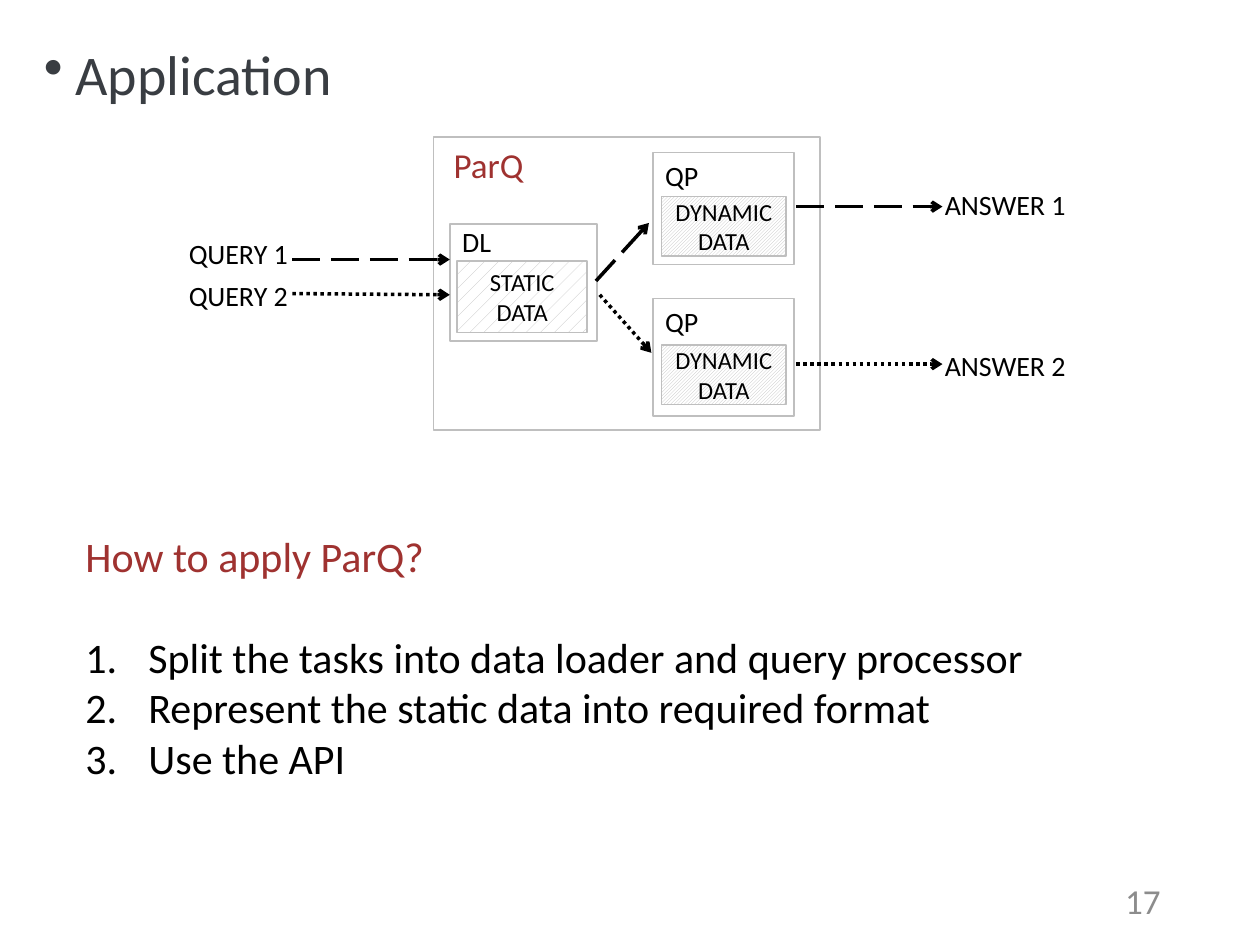
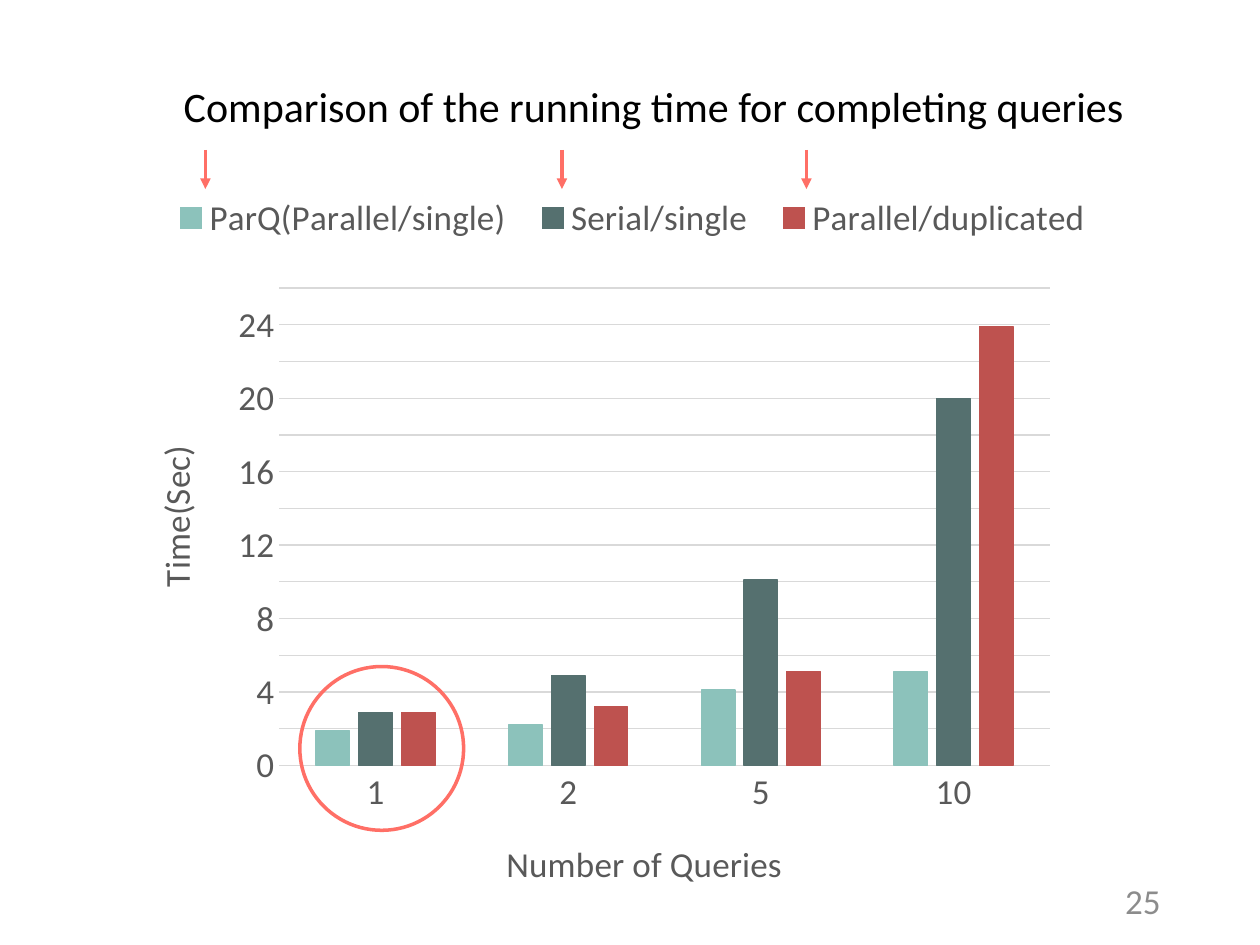
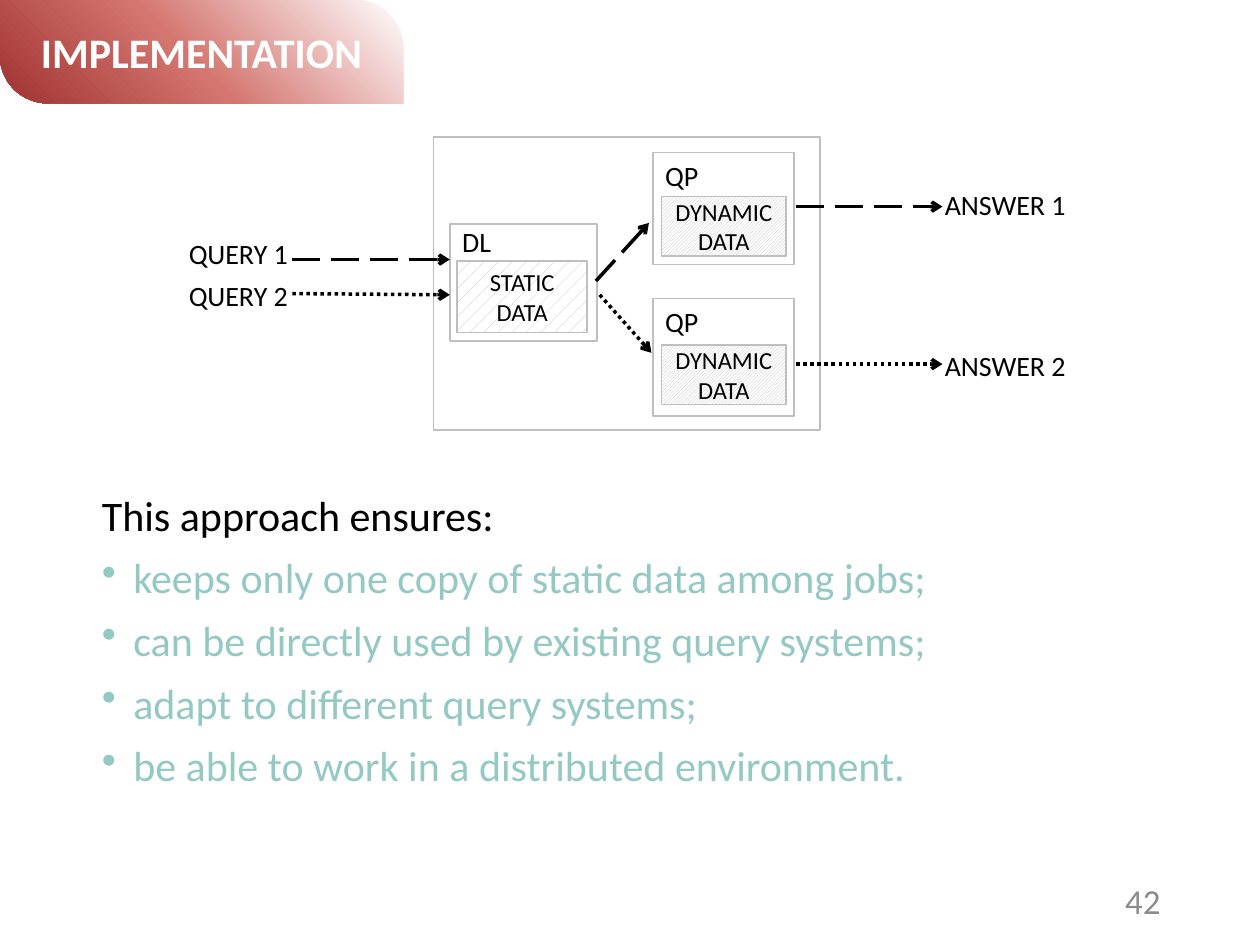
from lxml import etree
from pptx import Presentation
from pptx.chart.data import CategoryChartData
from pptx.dml.color import RGBColor
from pptx.enum.chart import XL_CHART_TYPE as ChartType, XL_LEGEND_POSITION as LegendPosition, XL_TICK_MARK as TickMark
from pptx.enum.dml import MSO_LINE as Dash, MSO_PATTERN as Pattern
from pptx.enum.shapes import MSO_CONNECTOR as Connector, MSO_SHAPE as Shape
from pptx.enum.text import MSO_ANCHOR as Anchor, PP_ALIGN as Align
from pptx.oxml.ns import qn
from pptx.util import Inches, Pt

FONT = "Calibri"
BLACK = RGBColor(0x00, 0x00, 0x00)
WHITE = RGBColor(0xFF, 0xFF, 0xFF)
BRICK = RGBColor(0x9F, 0x32, 0x30)
ROSE = RGBColor(0xD4, 0x75, 0x6F)
CORAL = RGBColor(0xFF, 0x6F, 0x66)
MINT = RGBColor(0x94, 0xC9, 0xC3)
SLATE = RGBColor(0x39, 0x3D, 0x42)
FOOTER_GRAY = RGBColor(0x8C, 0x8C, 0x8C)
CHART_GRAY = RGBColor(0x59, 0x59, 0x59)
BORDER_GRAY = RGBColor(0xBF, 0xBF, 0xBF)
GRID_GRAY = RGBColor(0xD9, 0xD9, 0xD9)
SERIES = (
    ("ParQ(Parallel/single)", (1.9, 2.2, 4.1, 5.1), RGBColor(0x8C, 0xC2, 0xBB)),
    ("Serial/single", (2.9, 4.9, 10.1, 20), RGBColor(0x55, 0x70, 0x6F)),
    ("Parallel/duplicated", (2.9, 3.2, 5.1, 23.9), RGBColor(0xBE, 0x52, 0x4F)),
)
DIAGRAM = (1.4, 1.09)


def style_font(font, size, color, bold=False):
    font.name = FONT
    font.size = Pt(size)
    font.color.rgb = color
    font.bold = bold


def write(shape, lines, size, color, align=Align.LEFT, anchor=Anchor.TOP, bold=False):
    frame = shape.text_frame
    frame.word_wrap = True
    frame.vertical_anchor = anchor
    frame.text = "\n".join(lines)
    for para in frame.paragraphs:
        para.alignment = align
        for span in para.runs:
            style_font(span.font, size, color, bold)
    return frame


def add_text(page, box, lines, size, color, align=Align.LEFT, anchor=Anchor.TOP):
    shape = page.shapes.add_textbox(*map(Inches, box))
    return write(shape, lines, size, color, align, anchor)


def add_bullet(para, indent, kind, **attributes):
    props = para._p.get_or_add_pPr()
    props.set("marL", str(Inches(indent)))
    props.set("indent", str(-Inches(indent)))
    etree.SubElement(props, qn("a:" + kind), attributes)


def add_dot(para):
    para.line_spacing = 0.9
    para.space_before = Pt(10)
    add_bullet(para, 0.25, "buChar", char="•")


def add_outline(page, kind, box, color, width):
    shape = page.shapes.add_shape(kind, *map(Inches, box))
    shape.shadow.inherit = False
    shape.fill.background()
    shape.line.color.rgb = color
    shape.line.width = Pt(width)
    return shape


def add_panel(page, box, pattern=None):
    panel = add_outline(page, Shape.RECTANGLE, box, BORDER_GRAY, 1)
    if pattern is None:
        panel.fill.solid()
        panel.fill.fore_color.rgb = WHITE
    else:
        panel.fill.patterned()
        panel.fill.pattern = pattern
        panel.fill.fore_color.rgb = BORDER_GRAY
        panel.fill.back_color.rgb = WHITE
    return panel


def add_arrow(page, start, end, color, head, dash=None):
    arrow = page.shapes.add_connector(Connector.STRAIGHT, *map(Inches, (*start, *end)))
    arrow.line.color.rgb = color
    arrow.line.width = Pt(2)
    if dash is not None:
        arrow.line.dash_style = dash
    props = arrow.element.spPr
    etree.SubElement(props.find(qn("a:ln")), qn("a:tailEnd"), type=head)
    etree.SubElement(props, qn("a:effectLst"))


def add_page_number(page, number):
    add_text(page, (7.06, 6.95, 2.25, 0.4), [str(number)], 20, FOOTER_GRAY, Align.RIGHT, Anchor.MIDDLE)


def add_diagram(page, origin, name=None):
    left, top = origin

    def place(x, y, *size):
        return (left + x, top + y, *size)

    frame = add_panel(page, place(2.04, 0, 3.07, 2.32))
    if name:
        write(frame, [name], 20, BRICK).margin_left = Inches(0.16)

    loader = add_panel(page, place(2.17, 0.69, 1.17, 0.93))
    write(loader, ["DL"], 16, BLACK).margin_top = 0
    static = add_panel(page, place(2.23, 0.98, 1.03, 0.57), Pattern.PERCENT_10)
    write(static, ["STATIC DATA"], 14, BLACK, Align.CENTER, Anchor.MIDDLE)

    for y, height, data_y in ((0.12, 0.89, 0.47), (1.28, 0.93, 1.65)):
        processor = add_panel(page, place(3.78, y, 1.12, height))
        write(processor, ["QP"], 16, BLACK)
        dynamic = add_panel(page, place(3.85, data_y, 0.99, 0.47), Pattern.LIGHT_UPWARD_DIAGONAL)
        text = write(dynamic, ["DYNAMIC DATA"], 14, BLACK, Align.CENTER, Anchor.MIDDLE)
        text.margin_top = text.margin_bottom = 0

    labels = (("QUERY 1", 0, 0.74), ("QUERY 2", 0, 1.07), ("ANSWER 1", 6, 0.35), ("ANSWER 2", 6, 1.63))
    for label, x, y in labels:
        add_text(page, place(x, y, 1.24, 0.35), [label], 16, BLACK)

    flows = (
        (Dash.LONG_DASH, ((0.92, 0.97, 2.17, 0.97), (3.33, 1.14, 3.75, 0.68), (4.92, 0.55, 6.08, 0.55))),
        (Dash.ROUND_DOT, ((0.92, 1.24, 2.17, 1.25), (3.36, 1.25, 3.77, 1.71), (4.92, 1.8, 6.08, 1.8))),
    )
    for dash, steps in flows:
        for x1, y1, x2, y2 in steps:
            add_arrow(page, place(x1, y1), place(x2, y2), BLACK, "arrow", dash)


def add_banner(page, box, title):
    banner = add_outline(page, Shape.ROUND_2_DIAG_RECTANGLE, box, WHITE, 1)
    banner.line.fill.background()
    banner.adjustments[0] = 0
    banner.adjustments[1] = 0.464
    props = banner.element.spPr
    gradient = etree.Element(qn("a:gradFill"), rotWithShape="1")
    stops = etree.SubElement(gradient, qn("a:gsLst"))
    for percent, color in ((0, BRICK), (46, ROSE), (100, WHITE)):
        stop = etree.SubElement(stops, qn("a:gs"), pos=str(percent * 1000))
        etree.SubElement(stop, qn("a:srgbClr"), val=str(color))
    center = etree.SubElement(gradient, qn("a:path"), {"path": "circle"})
    etree.SubElement(center, qn("a:fillToRect"), t="100000", r="100000")
    props.replace(props.find(qn("a:noFill")), gradient)
    write(banner, [title], 24, WHITE, Align.CENTER, Anchor.MIDDLE, bold=True)


def set_layout(parent, index, inner=False, **position):
    for old in parent.findall(qn("c:layout")):
        parent.remove(old)
    layout = etree.Element(qn("c:layout"))
    manual = etree.SubElement(layout, qn("c:manualLayout"))
    if inner:
        etree.SubElement(manual, qn("c:layoutTarget"), val="inner")
    for axis in "xy":
        etree.SubElement(manual, qn(f"c:{axis}Mode"), val="edge")
    for key, value in position.items():
        etree.SubElement(manual, qn("c:" + key), val=str(value))
    parent.insert(index, layout)


def style_axis(axis, title):
    axis.major_tick_mark = axis.minor_tick_mark = TickMark.NONE
    style_font(axis.tick_labels.font, 20, CHART_GRAY)
    frame = axis.axis_title.text_frame
    frame.text = title
    style_font(frame.paragraphs[0].runs[0].font, 20, CHART_GRAY)


def add_time_chart(page, box):
    data = CategoryChartData()
    data.categories = ["1", "2", "5", "10"]
    for name, values, _ in SERIES:
        data.add_series(name, values)
    chart = page.shapes.add_chart(ChartType.COLUMN_CLUSTERED, *map(Inches, box), data).chart
    chart.has_title = False
    style_font(chart.font, 20, CHART_GRAY)

    plot = chart.plots[0]
    plot.gap_width = 219
    plot.overlap = -27
    plot.vary_by_categories = False
    for series, (_, _, color) in zip(plot.series, SERIES):
        series.format.fill.solid()
        series.format.fill.fore_color.rgb = color
        series.format.line.color.rgb = color
        series.format.line.width = Pt(0.75)

    style_axis(chart.category_axis, "Number of Queries")
    style_axis(chart.value_axis, "Time(Sec)")
    values = chart.value_axis
    values.minimum_scale = 0
    values.maximum_scale = 26
    values.major_unit = 2
    values.format.line.fill.background()
    for line in (chart.category_axis.format.line, values.major_gridlines.format.line):
        line.color.rgb = GRID_GRAY
        line.width = Pt(0.75)

    chart.has_legend = True
    chart.legend.position = LegendPosition.BOTTOM
    chart.legend.include_in_layout = False
    style_font(chart.legend.font, 20, CHART_GRAY)

    root = chart.element
    category_title, value_title = root.iter(qn("c:title"))
    value_title.find(".//" + qn("a:bodyPr")).set("rot", "-5400000")
    set_layout(category_title, 1, x=0.36, y=0.9)
    set_layout(value_title, 1, x=0.04, y=0.41)
    set_layout(next(root.iter(qn("c:legend"))), 1, x=0.05, y=0.09, w=0.86, h=0.09)
    set_layout(next(root.iter(qn("c:plotArea"))), 0, inner=True, x=0.161, y=0.222, w=0.695, h=0.594)


def build_application(page):
    title = add_text(page, (0.25, 0.3, 8.62, 0.63), ["Application"], 32, SLATE, anchor=Anchor.MIDDLE)
    add_dot(title.paragraphs[0])
    add_diagram(page, DIAGRAM, "ParQ")
    steps = add_text(page, (0.58, 4.16, 9.34, 2.12), [
        "How to apply ParQ?",
        "Split the tasks into data loader and query processor",
        "Represent the static data into required format",
        "Use the API",
    ], 24, BLACK)
    heading, *items = steps.paragraphs
    heading.runs[0].font.color.rgb = BRICK
    heading.space_after = Pt(29)
    for para in items:
        add_bullet(para, 0.5, "buAutoNum", type="arabicPeriod")
    add_page_number(page, 17)


def build_comparison(page):
    add_time_chart(page, (0.8, 0.87, 8.8, 6.38))
    add_text(page, (1.36, 0.59, 7.67, 0.5), ["Comparison of the running time for completing queries"], 24, BLACK)
    add_outline(page, Shape.OVAL, (2.38, 5.29, 1.3, 1.3), CORAL, 2)
    for x in (1.63, 4.46, 6.4):
        add_arrow(page, (x, 1.19), (x, 1.5), CORAL, "triangle")
    add_page_number(page, 25)


def build_implementation(page):
    add_diagram(page, DIAGRAM)
    benefits = add_text(page, (0.71, 3.83, 8.62, 2.5), [
        "This approach ensures:",
        "keeps only one copy of static data among jobs;",
        "can be directly used by existing query systems;",
        "adapt to different query systems;",
        "be able to work in a distributed environment.",
    ], 24, MINT, anchor=Anchor.MIDDLE)
    heading, *items = benefits.paragraphs
    heading.runs[0].font.color.rgb = BLACK
    heading.space_before = Pt(10)
    for para in items:
        add_dot(para)
    add_banner(page, (0, 0, 3.2, 0.82), "IMPLEMENTATION")
    add_page_number(page, 42)


def main():
    deck = Presentation()
    deck.slide_width = Inches(10)
    deck.slide_height = Inches(7.5)
    for build in (build_application, build_comparison, build_implementation):
        build(deck.slides.add_slide(deck.slide_layouts[6]))
    deck.save("out.pptx")


if __name__ == "__main__":
    main()
